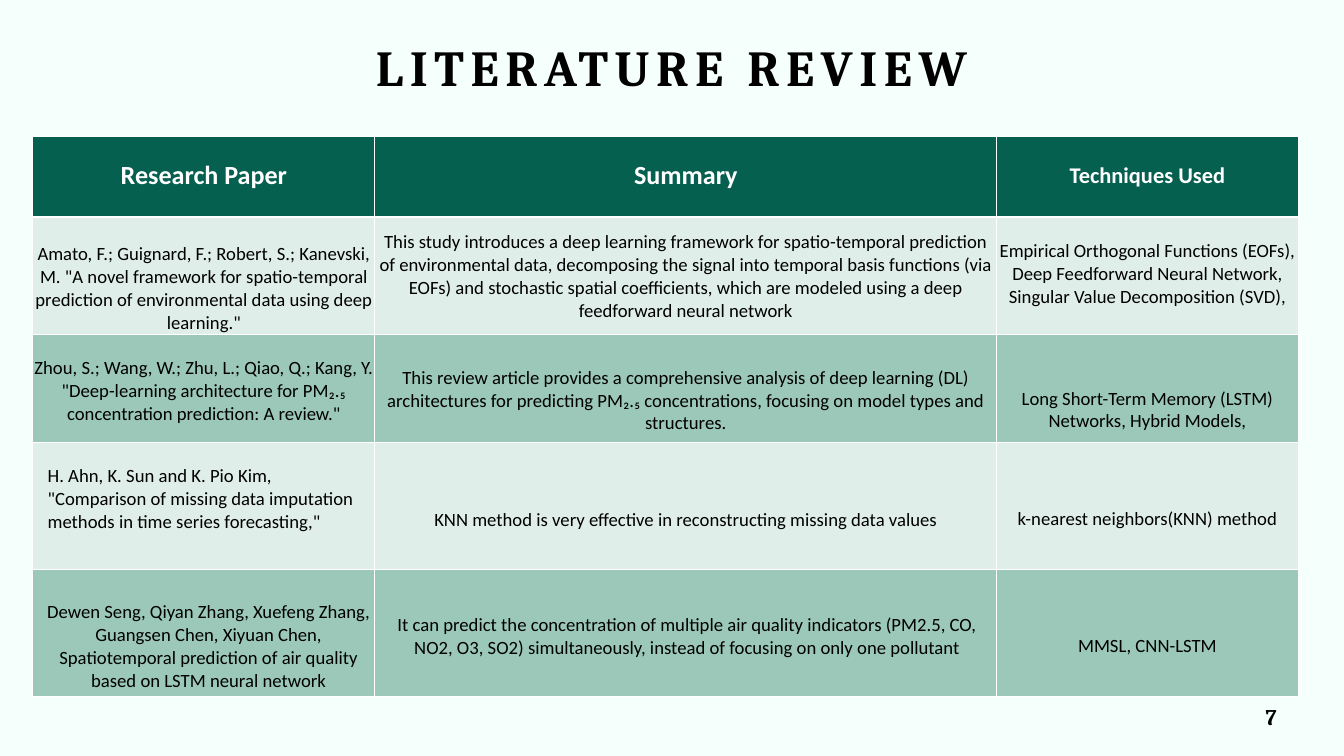
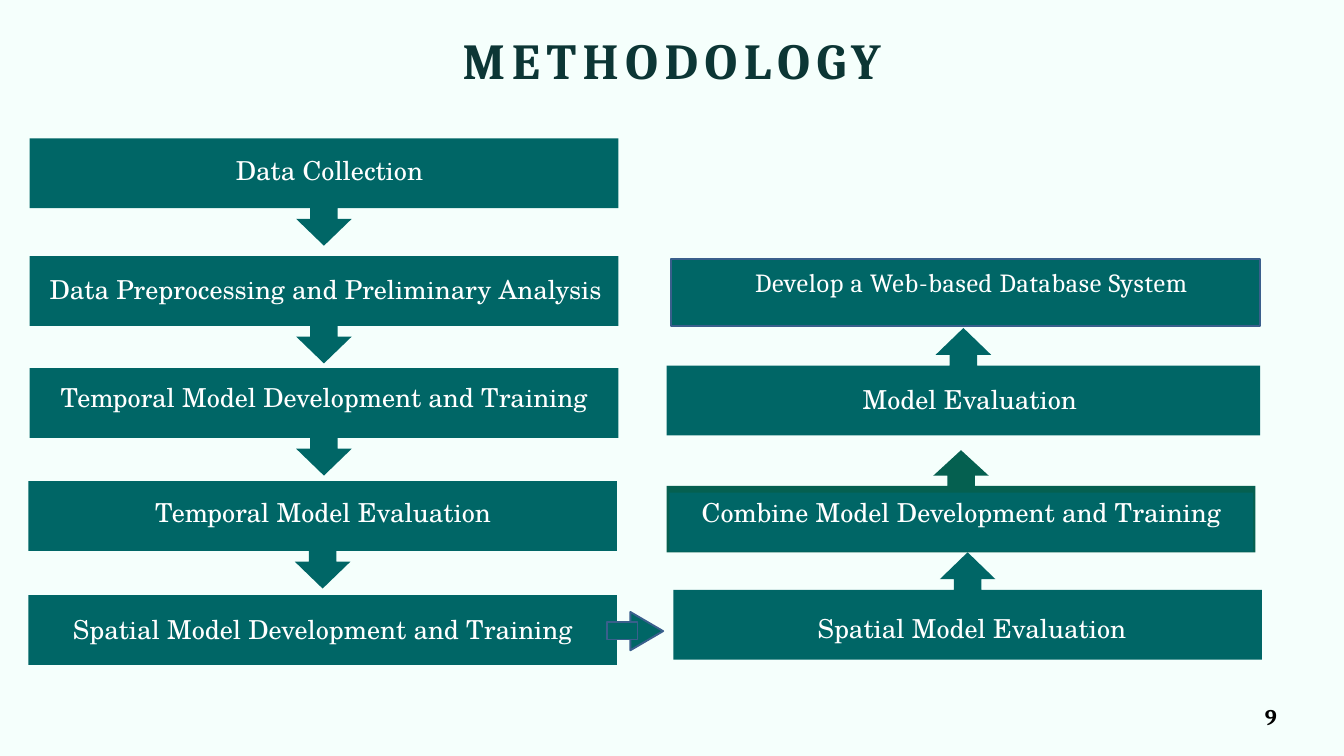
from dataclasses import dataclass

from lxml import etree
from pptx import Presentation
from pptx.dml.color import RGBColor
from pptx.enum.shapes import MSO_SHAPE
from pptx.enum.text import MSO_ANCHOR, PP_ALIGN
from pptx.oxml.ns import qn
from pptx.util import Cm, Pt

RECTANGLE = MSO_SHAPE.RECTANGLE
TRIANGLE = MSO_SHAPE.ISOSCELES_TRIANGLE
LEFT, CENTER, RIGHT = PP_ALIGN.LEFT, PP_ALIGN.CENTER, PP_ALIGN.RIGHT
TOP = MSO_ANCHOR.TOP
BLANK_LAYOUT = 6


@dataclass(frozen=True)
class Theme:
    """Colours, fonts and type sizes of the deck."""

    background: str = "F5FFFC"
    black: str = "000000"
    white: str = "FFFFFF"
    deep_teal: str = "0C3635"
    header_green: str = "056050"
    bands: tuple = ("E0EEEA", "9BC8B8")
    step_teal: str = "006666"
    outline_blue: str = "3A5F8C"
    heading_font: str = "Cambria"
    table_font: str = "Calibri"
    step_font: str = "TeX Gyre Schola"
    title_size: float = 54
    header_size: float = 28
    small_header_size: float = 24
    cell_size: float = 20
    step_size: float = 28
    page_size: float = 24


@dataclass(frozen=True)
class Entry:
    """A table entry with the distances in cm from the edges of its cell."""

    text: str
    top: float
    left: float = 0
    right: float = 0
    align: PP_ALIGN = CENTER


THEME = Theme()

COLUMN_WIDTHS = (12.93, 23.5, 11.4)
ROW_HEIGHTS = (3.05, 4.42, 4.09, 4.8, 4.8)
HEADERS = (
    (Entry("Research Paper", 0.86), THEME.header_size),
    (Entry("Summary", 0.86), THEME.header_size),
    (Entry("Techniques Used", 0.97), THEME.small_header_size),
)
PAPERS = (
    (
        Entry("Amato, F.; Guignard, F.; Robert, S.; Kanevski, M. \"A novel framework for "
              "spatio-temporal prediction of environmental data using deep learning.\"", 0.97),
        Entry("This study introduces a deep learning framework for spatio-temporal prediction "
              "of environmental data, decomposing the signal into temporal basis functions "
              "(via EOFs) and stochastic spatial coefficients, which are modeled using a deep "
              "feedforward neural network", 0.51),
        Entry("Empirical Orthogonal Functions (EOFs), Deep Feedforward Neural Network, "
              "Singular Value Decomposition (SVD),", 0.86),
    ),
    (
        Entry("Zhou, S.; Wang, W.; Zhu, L.; Qiao, Q.; Kang, Y. \"Deep-learning architecture "
              "for PM₂.₅ concentration prediction: A review.\"", 0.86),
        Entry("This review article provides a comprehensive analysis of deep learning (DL) "
              "architectures for predicting PM₂.₅ concentrations, focusing on model types "
              "and structures.", 1.22),
        Entry("Long Short-Term Memory (LSTM) Networks, Hybrid Models,", 2.01),
    ),
    (
        Entry("H. Ahn, K. Sun and K. Pio Kim, \"Comparison of missing data imputation "
              "methods in time series forecasting,\"", 0.86, 0.56, 0.5, LEFT),
        Entry("KNN method is very effective in reconstructing missing data values", 2.51),
        Entry("k-nearest neighbors(KNN) method", 2.49),
    ),
    (
        Entry("Dewen Seng, Qiyan Zhang, Xuefeng Zhang, Guangsen Chen, Xiyuan Chen, "
              "Spatiotemporal prediction of air quality based on LSTM neural network",
              1.19, 0.36),
        Entry("It can predict the concentration of multiple air quality indicators (PM2.5, "
              "CO, NO2, O3, SO2) simultaneously, instead of focusing on only one pollutant",
              1.69, 0.1),
        Entry("MMSL, CNN-LSTM", 2.49),
    ),
)

STEP_WIDTH = 22.25
STEP_HEIGHT = 4.06
DOWN_STEPS = ((1.12, 5.23), (1.12, 9.68), (1.12, 13.92), (1.07, 18.19))
UP_STEPS = (
    (25.45, 20.88, STEP_WIDTH, STEP_HEIGHT, THEME.step_teal),
    (25.2, 12.4, 22.43, STEP_HEIGHT, THEME.step_teal),
    (25.2, 17.02, STEP_WIDTH, 3.86, THEME.header_green),
)
STEP_LABELS = (
    ("Data Collection", 3, 5.82, 18.9),
    ("Data Preprocessing and Preliminary Analysis", 1.19, 10.34, 22.23),
    ("Temporal Model Development and Training", 1.12, 14.43, 22.25),
    ("Temporal Model Evaluation", 1.09, 18.75, 22.23),
    ("Spatial Model Development and Training", 1.78, 23.19, 20.83),
    ("Spatial Model Evaluation", 27.28, 23.14, 18.9),
    ("Combine Model Development and Training", 25.3, 18.75, 22.07),
    ("Model Evaluation", 32.39, 14.5, 8.53),
)


def rgb(color):
    """Turn a hex string into a colour."""
    return RGBColor.from_string(color)


def write(frame, text, font, size, color, bold=False, align=CENTER, spacing=0):
    """Put one formatted paragraph into a text frame."""
    frame.word_wrap = True
    frame.text = text
    paragraph = frame.paragraphs[0]
    paragraph.alignment = align
    for run in paragraph.runs:
        run.font.name = font
        run.font.size = Pt(size)
        run.font.bold = bold
        run.font.color.rgb = rgb(color)
        if spacing:
            run.font._element.set("spc", str(round(spacing * 100)))


def add_text(slide, box, text, font, size, color, **style):
    """Add a text box without insets; box is left, top, width, height in cm."""
    frame = slide.shapes.add_textbox(*map(Cm, box)).text_frame
    frame.margin_left = frame.margin_right = frame.margin_top = frame.margin_bottom = 0
    write(frame, text, font, size, color, **style)


def paint(shape, color, line=None):
    """Give a shape a flat fill and an optional outline."""
    shape.shadow.inherit = False
    shape.fill.solid()
    shape.fill.fore_color.rgb = rgb(color)
    if line:
        shape.line.color.rgb = rgb(line)
        shape.line.width = Pt(2)
    else:
        shape.line.fill.background()


def add_block(slide, box, kind=RECTANGLE, line=None):
    """Add a teal preset shape."""
    block = slide.shapes.add_shape(kind, *map(Cm, box))
    paint(block, THEME.step_teal, line)
    return block


def add_arrow_step(slide, left, top, width, height, color, upward=False):
    """Draw a step box with an arrow growing out of its lower or upper edge."""
    middle, head, neck = left + width / 2, 1.05, 0.52
    box_end, neck_end = 0.65 * height, 0.75 * height
    outline = (
        (left, 0), (left, box_end),
        (middle - neck, box_end), (middle - neck, neck_end), (middle - head, neck_end),
        (middle, height),
        (middle + head, neck_end), (middle + neck, neck_end), (middle + neck, box_end),
        (left + width, box_end), (left + width, 0),
    )
    points = [
        (Cm(x), Cm(top + (height - depth if upward else depth))) for x, depth in outline
    ]
    builder = slide.shapes.build_freeform(*points[0])
    builder.add_line_segments(points[1:], close=True)
    paint(builder.convert_to_shape(), color)


def set_borders(cell, top, bottom):
    """Draw white cell borders, with top and bottom widths in points."""
    properties = cell._tc.get_or_add_tcPr()
    widths = {"a:lnL": 1, "a:lnR": 1, "a:lnT": top, "a:lnB": bottom}
    for position, (tag, width) in enumerate(widths.items()):
        border = etree.Element(qn(tag), w=str(Pt(width)))
        fill = etree.SubElement(border, qn("a:solidFill"))
        etree.SubElement(fill, qn("a:srgbClr"), val=THEME.white)
        properties.insert(position, border)


def fill_cell(cell, entry, size, text_color, band, bold=False, top=1, bottom=1):
    """Write an entry into its cell and style the cell."""
    cell.margin_left, cell.margin_right = Cm(entry.left), Cm(entry.right)
    cell.margin_top, cell.margin_bottom = Cm(entry.top), 0
    cell.vertical_anchor = TOP
    write(cell.text_frame, entry.text, THEME.table_font, size, text_color,
          bold=bold, align=entry.align)
    cell.fill.solid()
    cell.fill.fore_color.rgb = rgb(band)
    set_borders(cell, top, bottom)


def add_papers_table(slide):
    """Add the table of reviewed papers."""
    table = slide.shapes.add_table(
        len(ROW_HEIGHTS), len(COLUMN_WIDTHS), Cm(1.24), Cm(5.16),
        Cm(sum(COLUMN_WIDTHS)), Cm(sum(ROW_HEIGHTS)),
    ).table
    for column, width in zip(table.columns, COLUMN_WIDTHS):
        column.width = Cm(width)
    for row, height in zip(table.rows, ROW_HEIGHTS):
        row.height = Cm(height)
    for column, (entry, size) in enumerate(HEADERS):
        fill_cell(table.cell(0, column), entry, size, THEME.white,
                  THEME.header_green, bold=True, bottom=3)
    for row, paper in enumerate(PAPERS, start=1):
        for column, entry in enumerate(paper):
            fill_cell(table.cell(row, column), entry, THEME.cell_size, THEME.black,
                      THEME.bands[(row - 1) % 2], top=3 if row == 1 else 1)


def add_titled_slide(deck, title, title_top, title_color, page):
    """Add a slide with its title and page number."""
    slide = deck.slides.add_slide(deck.slide_layouts[BLANK_LAYOUT])
    add_text(slide, (0, title_top, 50.8, 2.36), title, THEME.heading_font,
             THEME.title_size, title_color, bold=True, spacing=7.1)
    add_text(slide, (36.58, 26.57, 11.68, 1.02), page, THEME.heading_font,
             THEME.page_size, THEME.black, bold=True, align=RIGHT)
    return slide


def build_literature_review(deck):
    """Build the slide with the reviewed papers."""
    slide = add_titled_slide(deck, "LITERATURE REVIEW", 1.37, THEME.black, "7")
    add_papers_table(slide)


def build_methodology(deck):
    """Build the slide with the flow of method steps."""
    slide = add_titled_slide(deck, "METHODOLOGY", 1.09, THEME.deep_teal, "9")
    add_block(slide, (25.37, 9.78, STEP_WIDTH, 2.54), line=THEME.outline_blue)
    for left, top in DOWN_STEPS:
        add_arrow_step(slide, left, top, STEP_WIDTH, STEP_HEIGHT, THEME.step_teal)
    add_block(slide, (1.07, 22.5, STEP_WIDTH, 2.64))
    for step in UP_STEPS:
        add_arrow_step(slide, *step, upward=True)
    add_block(slide, (25.3, 18.62, 22.07, 2.24))
    crossing_head = add_block(slide, (23.72, 23.24, 1.45, 1.24), TRIANGLE, THEME.outline_blue)
    crossing_head.rotation = 90
    add_block(slide, (22.96, 23.52, 1.14, 0.66), line=THEME.outline_blue)
    for text, left, top, width in STEP_LABELS:
        add_text(slide, (left, top, width, 1.2), text, THEME.step_font,
                 THEME.step_size, THEME.white)
    add_text(slide, (26.85, 10.06, 19.74, 1.2), "Develop a Web-based Database System",
             THEME.heading_font, THEME.step_size, THEME.white, spacing=0.8)


def main():
    """Build the deck and save it."""
    deck = Presentation()
    deck.slide_width, deck.slide_height = Cm(50.8), Cm(28.58)
    backdrop = deck.slide_master.background.fill
    backdrop.solid()
    backdrop.fore_color.rgb = rgb(THEME.background)
    build_literature_review(deck)
    build_methodology(deck)
    deck.save("out.pptx")


if __name__ == "__main__":
    main()
